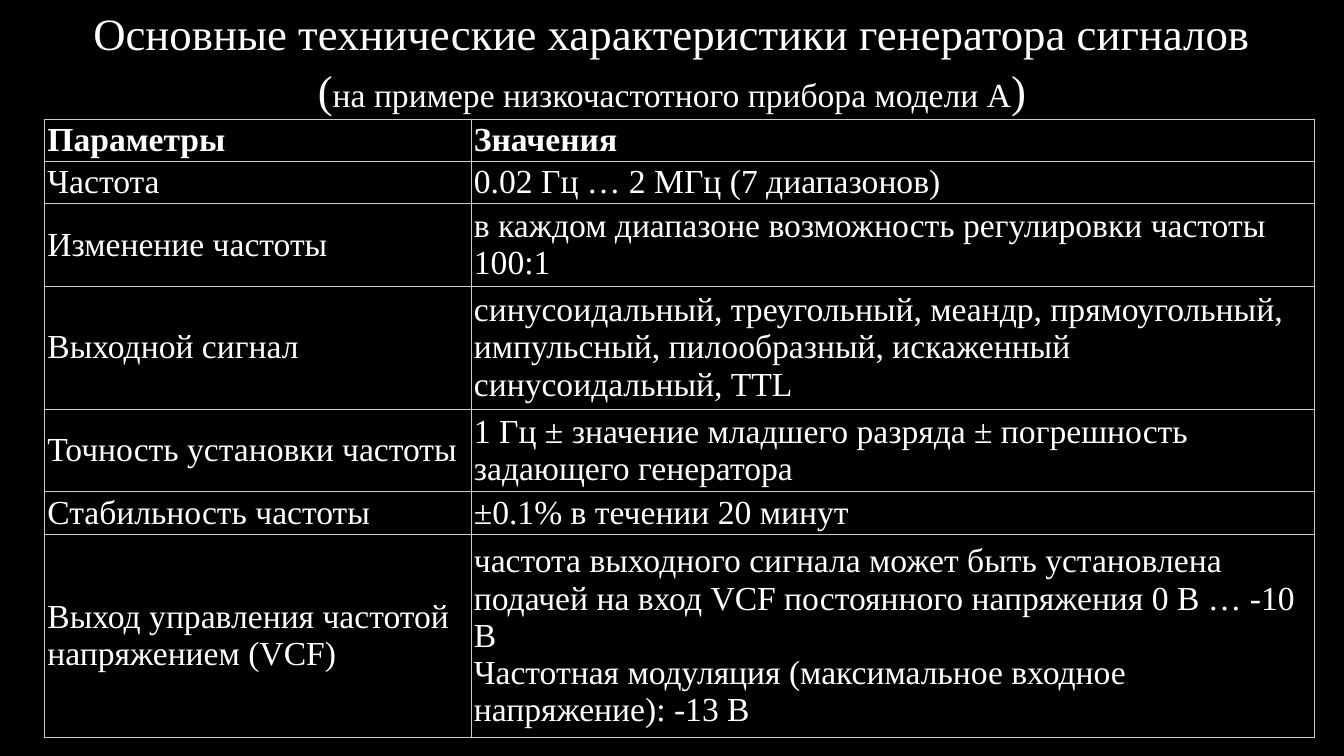
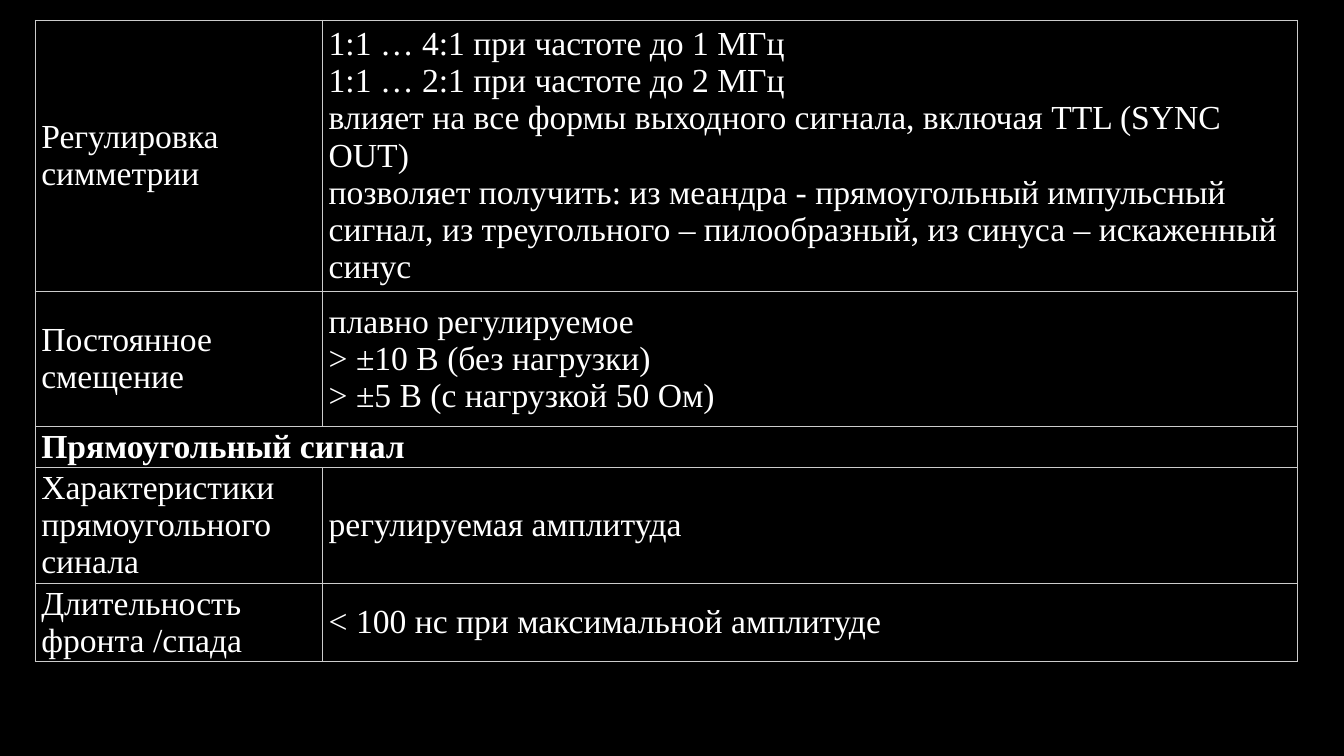
"""Builds two dark slides with the data tables of a signal generator."""
from lxml import etree
from pptx import Presentation
from pptx.dml.color import RGBColor
from pptx.enum.text import MSO_ANCHOR, MSO_AUTO_SIZE, PP_ALIGN
from pptx.oxml.ns import qn
from pptx.util import Inches, Pt

MIDDLE = MSO_ANCHOR.MIDDLE
NO_FIT = MSO_AUTO_SIZE.NONE
CENTER = PP_ALIGN.CENTER
BLACK = RGBColor(0x00, 0x00, 0x00)
WHITE = RGBColor(0xFF, 0xFF, 0xFF)
GREY = RGBColor(0xCC, 0xCC, 0xCC)
FONT = "Times New Roman"
LARGE, SMALL = 32, 24
TITLE_ONLY, BLANK = 5, 6

TITLE = [
    [("Основные технические характеристики генератора сигналов", LARGE)],
    [("(", LARGE), ("на примере низкочастотного прибора модели А", SMALL), (")", LARGE)],
]

MAIN = {
    "at": (0.44, 1.18),
    "cols": (4.23, 8.37),
    "rows": (0.42, 0.42, 0.82, 1.22, 0.82, 0.42, 2.02),
    "pad": (0.03, 0.01, 0.1, 0.01),
    "bold": 0,
    "cells": [
        ("Параметры", "Значения"),
        ("Частота", "0.02 Гц … 2 МГц (7 диапазонов)"),
        ("Изменение частоты", "в каждом диапазоне возможность регулировки частоты 100:1"),
        ("Выходной сигнал",
         "синусоидальный, треугольный, меандр, прямоугольный, импульсный, "
         "пилообразный, искаженный синусоидальный, TTL"),
        ("Точность установки частоты",
         "1 Гц ± значение младшего разряда ± погрешность задающего генератора"),
        ("Стабильность частоты", "±0.1% в течении 20 минут"),
        ("Выход управления частотой напряжением (VCF)",
         "частота выходного сигнала может быть установлена подачей на вход VCF "
         "постоянного напряжения 0 В … -10 В\n"
         "Частотная модуляция (максимальное входное напряжение): -13 В"),
    ],
}

MORE = {
    "at": (0.35, 0.2),
    "cols": (2.85, 9.67),
    "rows": (2.69, 1.34, 0.4, 1.15, 0.77),
    "pad": (0.06, 0.02, 0.19, 0.02),
    "bold": 2,
    "cells": [
        ("Регулировка симметрии",
         "1:1 … 4:1 при частоте до 1 МГц\n"
         "1:1 … 2:1 при частоте до 2 МГц\n"
         "влияет на все формы выходного сигнала, включая TTL (SYNC OUT)\n"
         "позволяет получить: из меандра - прямоугольный импульсный сигнал, "
         "из треугольного – пилообразный, из синуса – искаженный синус"),
        ("Постоянное смещение",
         "плавно регулируемое\n> ±10 В (без нагрузки)\n> ±5 В (с нагрузкой 50 Ом)"),
        ("Прямоугольный сигнал",),
        ("Характеристики прямоугольного синала", "регулируемая амплитуда"),
        ("Длительность фронта /спада", "< 100 нс при максимальной амплитуде"),
    ],
}


def add_run(para, text, size, bold=False):
    run = para.add_run()
    run.text = text
    font = run.font
    font.name, font.size, font.bold = FONT, Pt(size), bold
    font.color.rgb = WHITE


def next_para(frame, index):
    return frame.add_paragraph() if index else frame.paragraphs[0]


def add_title(slide):
    title = slide.shapes.title
    title.left, title.top = Inches(0.6), Inches(0)
    title.width, title.height = Inches(12.13), Inches(1.18)
    frame = title.text_frame
    frame.word_wrap = True
    frame.auto_size = NO_FIT
    frame.vertical_anchor = MIDDLE
    for index, runs in enumerate(TITLE):
        para = next_para(frame, index)
        para.alignment = CENTER
        para.line_spacing = 1.07
        for text, size in runs:
            add_run(para, text, size)


def add_edges(cell):
    props = cell._tc.get_or_add_tcPr()
    for index, side in enumerate(("lnL", "lnR", "lnT", "lnB")):
        line = etree.Element(qn("a:" + side), w=str(Pt(0.6)))
        fill = etree.SubElement(line, qn("a:solidFill"))
        etree.SubElement(fill, qn("a:srgbClr"), val=str(GREY))
        props.insert(index, line)


def fill_cell(cell, text, pad, bold):
    left, top, right, bottom = map(Inches, pad)
    cell.margin_left, cell.margin_top = left, top
    cell.margin_right, cell.margin_bottom = right, bottom
    cell.vertical_anchor = MIDDLE
    for index, line in enumerate(text.split("\n")):
        add_run(next_para(cell.text_frame, index), line, SMALL, bold)


def add_grid(slide, data):
    cols, rows = data["cols"], data["rows"]
    left, top = data["at"]
    table = slide.shapes.add_table(
        len(rows), len(cols), Inches(left), Inches(top),
        Inches(sum(cols)), Inches(sum(rows))).table
    table.first_row = table.horz_banding = False
    for col, width in zip(table.columns, cols):
        col.width = Inches(width)
    for row, height in zip(table.rows, rows):
        row.height = Inches(height)
    for cell in table.iter_cells():
        cell.fill.solid()
        cell.fill.fore_color.rgb = BLACK
        add_edges(cell)
    for index, texts in enumerate(data["cells"]):
        if len(texts) == 1:
            table.cell(index, 0).merge(table.cell(index, len(cols) - 1))
        for col, text in enumerate(texts):
            fill_cell(table.cell(index, col), text, data["pad"], index == data["bold"])


def main():
    prs = Presentation()
    prs.slide_width, prs.slide_height = Inches(13.33), Inches(7.5)
    back = prs.slide_master.background.fill
    back.solid()
    back.fore_color.rgb = BLACK
    first = prs.slides.add_slide(prs.slide_layouts[TITLE_ONLY])
    add_title(first)
    add_grid(first, MAIN)
    add_grid(prs.slides.add_slide(prs.slide_layouts[BLANK]), MORE)
    prs.save("out.pptx")


if __name__ == "__main__":
    main()
